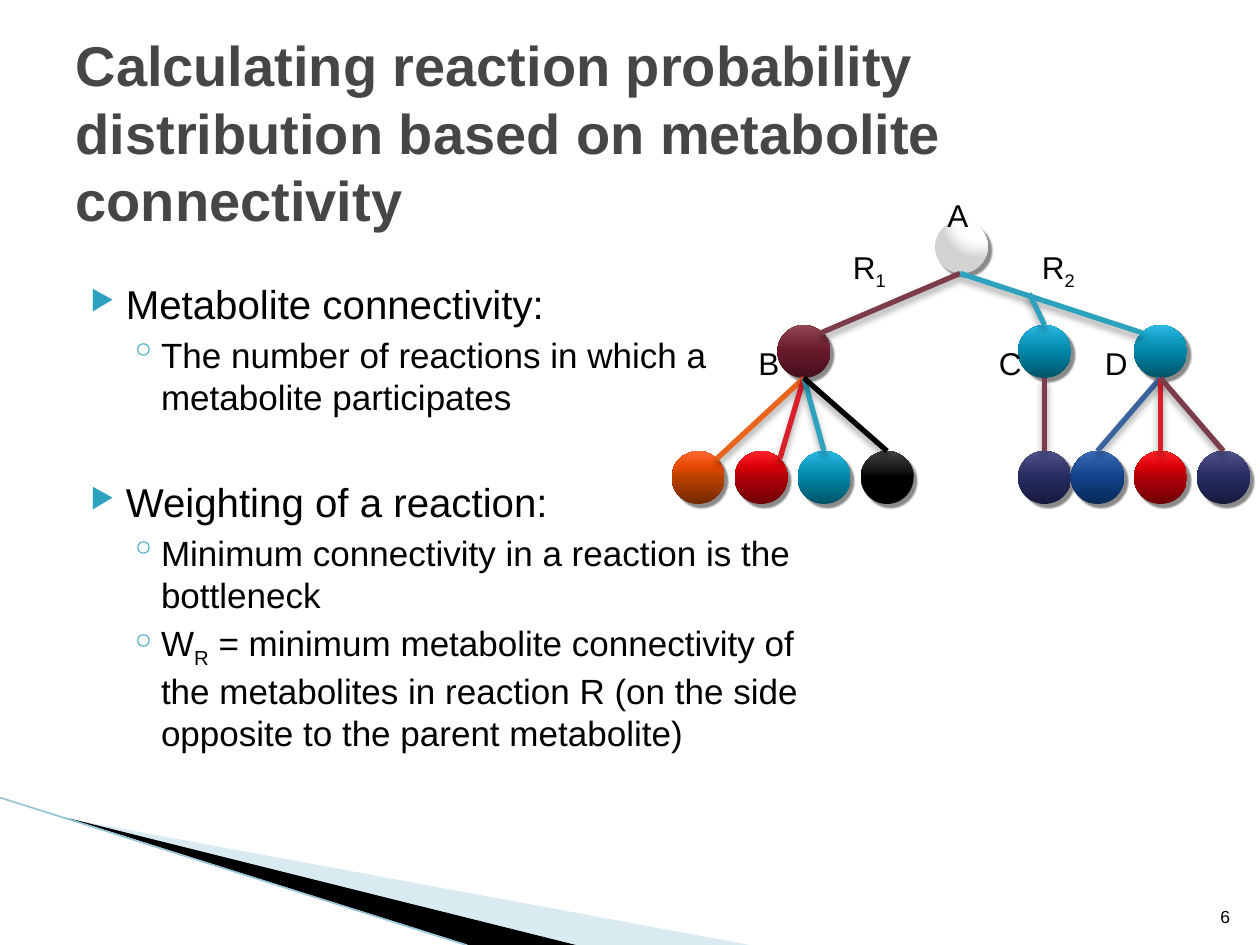
"""Slide on reaction probabilities from metabolite connectivity, with a reaction tree."""
from dataclasses import dataclass

from lxml import etree
from pptx import Presentation, util as u
from pptx.dml import color
from pptx.enum import shapes, text
from pptx.oxml import ns

INK, TEAL, WINE, RED = "000000", "2DA2BF", "7D3C4A", "DA1F28"
DIAMETER = 0.42
STOPS = (0, 50, 70, 100)
SHADES = {
    "white": ("FFFFFF", "FFFFFF", "F4F4F4", "D3D3D3"),
    "wine": ("420F1A", "681A2B", "772939", "944755"),
    "teal": ("005367", "0086A7", "0E9ABE", "2CB9E3"),
    "black": ("000000", "000000", "1D1D1D", "424242"),
    "blue": ("072956", "104288", "205199", "3D6BB9"),
    "red": ("6D0005", "B00008", "DA0008", "FF2429"),
    "navy": ("171A3D", "262B61", "353970", "51568D"),
    "orange": ("732800", "B94100", "E64900", "FF6933"),
}


@dataclass
class Node:
    left: float
    top: float
    shade: str


@dataclass
class Edge:
    start: tuple[float, float]
    end: tuple[float, float]
    hue: str


@dataclass
class Label:
    left: float
    top: float
    width: float
    letter: str
    index: str = ""


@dataclass
class Point:
    level: int
    before: float
    phrases: tuple[str, ...]


NODES = [
    Node(7.42, 1.75, "white"),
    *[Node(x, 2.58, s) for x, s in ((6.17, "wine"), (8.08, "teal"), (9, "teal"))],
    *[Node(x, 3.58, s) for x, s in (
        (5.33, "orange"), (5.83, "red"), (6.33, "teal"), (6.83, "black"),
        (8.08, "navy"), (8.5, "blue"), (9, "red"), (9.5, "navy"))],
]
A, B, C, D = (7.62, 2.17), (6.38, 3), (8.29, 3), (9.21, 3)
EDGES = [
    Edge(A, (6.52, 2.64), WINE),
    Edge(A, (9.06, 2.64), TEAL),
    Edge((8.17, 2.33), (8.29, 2.58), TEAL),
    Edge(B, (5.69, 3.64), "EB641B"),
    Edge(B, (6.19, 3.64), RED),
    Edge(B, (6.54, 3.58), TEAL),
    Edge(B, (7.04, 3.58), INK),
    Edge(C, (8.29, 3.58), WINE),
    Edge(D, (8.71, 3.58), "39639D"),
    Edge(D, (9.21, 3.58), RED),
    Edge(D, (9.71, 3.58), WINE),
]
LABELS = [
    Label(6.67, 1.92, 0.58, "R", "1"),
    Label(8.17, 1.92, 0.58, "R", "2"),
    Label(7.42, 1.51, 0.42, "A"),
    Label(5.92, 2.68, 0.42, "B"),
    Label(7.83, 2.68, 0.42, "C"),
    Label(8.67, 2.68, 0.42, "D"),
]
POINTS = [
    Point(0, 4, ("Metabolite connectivity:",)),
    Point(1, 3.2, ("The number of reactions in which a metabolite participates",)),
    Point(0, 34.4, ("Weighting of a reaction:",)),
    Point(1, 3.2, ("Minimum connectivity in a reaction is the bottleneck",)),
    Point(1, 3.2, ("W", "R", " = minimum metabolite connectivity of the metabolites in "
                   "reaction R (on the side opposite to the parent metabolite)")),
]
BULLETS = ((0.4, -0.28, 23, "▶", 68), (0.68, -0.25, 20, "◦", 100))


def rgb(value: str) -> color.RGBColor:
    return color.RGBColor.from_string(value)


def add_xml(parent, body: str) -> None:
    wrapper = etree.fromstring(f'<root {ns.nsdecls("a")}>{body}</root>')
    parent.extend(list(wrapper))


def add_shadow(shape, alpha: int, blur: float, distance: float, angle: int) -> None:
    add_xml(shape.element.spPr,
            f'<a:effectLst><a:outerShdw blurRad="{u.Pt(blur)}" dist="{u.Pt(distance)}" '
            f'dir="{angle * 60000}" algn="ctr" rotWithShape="0"><a:srgbClr val="{INK}">'
            f'<a:alpha val="{alpha * 1000}"/></a:srgbClr></a:outerShdw></a:effectLst>')


def add_run(paragraph, words: str, size: float, hue: str = INK, bold: bool = False,
            lowered: bool = False) -> None:
    run = paragraph.add_run()
    run.text = words
    for key, value in {"name": "Arial", "size": u.Pt(size), "bold": bold}.items():
        setattr(run.font, key, value)
    run.font.color.rgb = rgb(hue)
    if lowered:
        run.font._element.set("baseline", "-25000")


def add_box(slide, left: float, top: float, width: float, height: float):
    frame = slide.shapes.add_textbox(*map(u.Inches, (left, top, width, height))).text_frame
    frame.word_wrap = True
    return frame


def add_node(slide, node: Node) -> None:
    oval = slide.shapes.add_shape(
        shapes.MSO_SHAPE.OVAL, *map(u.Inches, (node.left, node.top, DIAMETER, DIAMETER)))
    oval.line.fill.background()
    stops = "".join(f'<a:gs pos="{at * 1000}"><a:srgbClr val="{hue}"/></a:gs>'
                    for at, hue in zip(STOPS, SHADES[node.shade]))
    spread = '<a:lin ang="16200000" scaled="0"/>'
    if node.shade == "white":
        spread = '<a:path path="circle"><a:fillToRect l="65000" b="98000"/></a:path>'
    properties = oval.element.spPr
    outline = properties.find(ns.qn("a:ln"))
    properties.remove(outline)
    add_xml(properties, f'<a:gradFill rotWithShape="1"><a:gsLst>{stops}</a:gsLst>{spread}</a:gradFill>')
    properties.append(outline)
    add_shadow(oval, 45, 1, 3, 45)


def add_line(slide, edge: Edge, width: float):
    line = slide.shapes.add_connector(
        shapes.MSO_CONNECTOR.STRAIGHT, *map(u.Inches, edge.start + edge.end))
    line.line.color.rgb = rgb(edge.hue)
    line.line.width = u.Pt(width)
    return line


def add_wedge(slide, corners: list[tuple[float, float]], hue: str, alpha: int) -> None:
    start, *rest = [(u.Inches(x), u.Inches(y)) for x, y in corners]
    builder = slide.shapes.build_freeform(*start)
    builder.add_line_segments(rest)
    wedge = builder.convert_to_shape()
    wedge.shadow.inherit = False
    wedge.line.fill.background()
    wedge.fill.solid()
    wedge.fill.fore_color.rgb = rgb(hue)
    for tint in wedge.element.spPr.iter(ns.qn("a:srgbClr")):
        add_xml(tint, f'<a:alpha val="{alpha * 1000}"/>')


def add_point(paragraph, point: Point) -> None:
    margin, indent, size, mark, scale = BULLETS[point.level]
    paragraph.level = point.level
    paragraph.space_before = u.Pt(point.before)
    properties = paragraph._p.get_or_add_pPr()
    properties.set("marL", str(u.Inches(margin)))
    properties.set("indent", str(u.Inches(indent)))
    add_xml(properties, f'<a:buClr><a:srgbClr val="{TEAL}"/></a:buClr>'
                        f'<a:buSzPct val="{scale * 1000}"/><a:buChar char="{mark}"/>')
    for order, words in enumerate(point.phrases):
        add_run(paragraph, words, size, lowered=order == 1)


def main() -> None:
    deck = Presentation()
    deck.slide_width, deck.slide_height = u.Inches(10), u.Inches(7.5)
    slide = deck.slides.add_slide(deck.slide_layouts[5])

    add_wedge(slide, [(0.55, 6.5), (5.95, 7.5), (4.56, 7.5)], "A0CBDC", 40)
    add_wedge(slide, [(0.53, 6.49), (4.57, 7.5), (3.72, 7.5)], INK, 100)
    rim = add_line(slide, Edge((0, 6.33), (3.7, 7.5), "97C5D8"), 0.95)
    add_xml(rim.element.spPr, "<a:effectLst/>")

    title = slide.shapes.title
    for key, value in {"left": 0.5, "top": 0.42, "width": 9, "height": 1.25}.items():
        setattr(title, key, u.Inches(value))
    frame = title.text_frame
    for key, value in {"vertical_anchor": text.MSO_ANCHOR.MIDDLE, "word_wrap": True,
                       "auto_size": text.MSO_AUTO_SIZE.NONE}.items():
        setattr(frame, key, value)
    frame.paragraphs[0].alignment = text.PP_ALIGN.LEFT
    add_run(frame.paragraphs[0], "Calculating reaction probability distribution based on "
            "metabolite connectivity", 32, "464646", bold=True)

    body = add_box(slide, 0.5, 2.17, 6.33, 4.53)
    for order, point in enumerate(POINTS):
        add_point(body.add_paragraph() if order else body.paragraphs[0], point)

    number = add_box(slide, 9.46, 7.01, 0.4, 0.4)
    number.vertical_anchor = text.MSO_ANCHOR.BOTTOM
    number.paragraphs[0].alignment = text.PP_ALIGN.RIGHT
    add_run(number.paragraphs[0], "6", 10)

    for node in NODES:
        add_node(slide, node)
    for edge in EDGES:
        add_shadow(add_line(slide, edge, 3), 35, 4, 3, 90)
    for label in LABELS:
        caption = add_box(slide, label.left, label.top, label.width, 0.4).paragraphs[0]
        add_run(caption, label.letter, 18)
        if label.index:
            add_run(caption, label.index, 18, lowered=True)
    deck.save("out.pptx")


if __name__ == "__main__":
    main()
